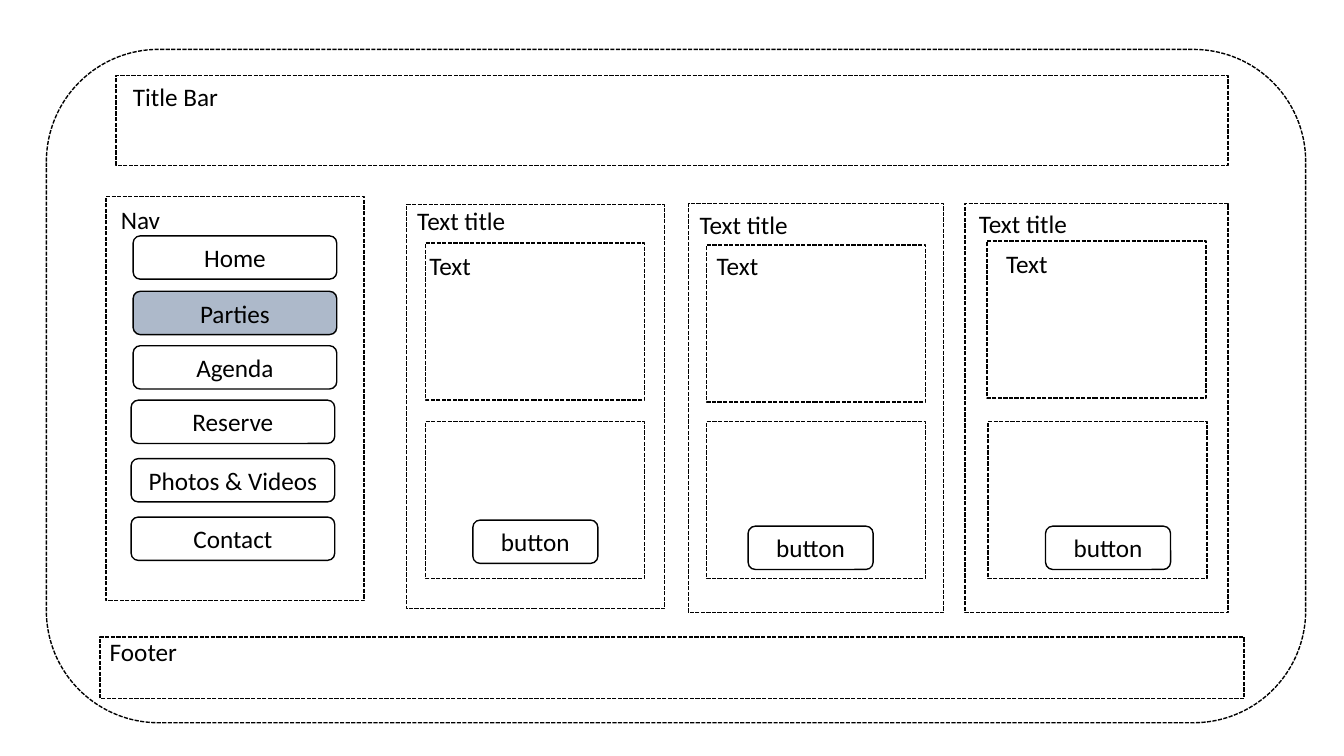
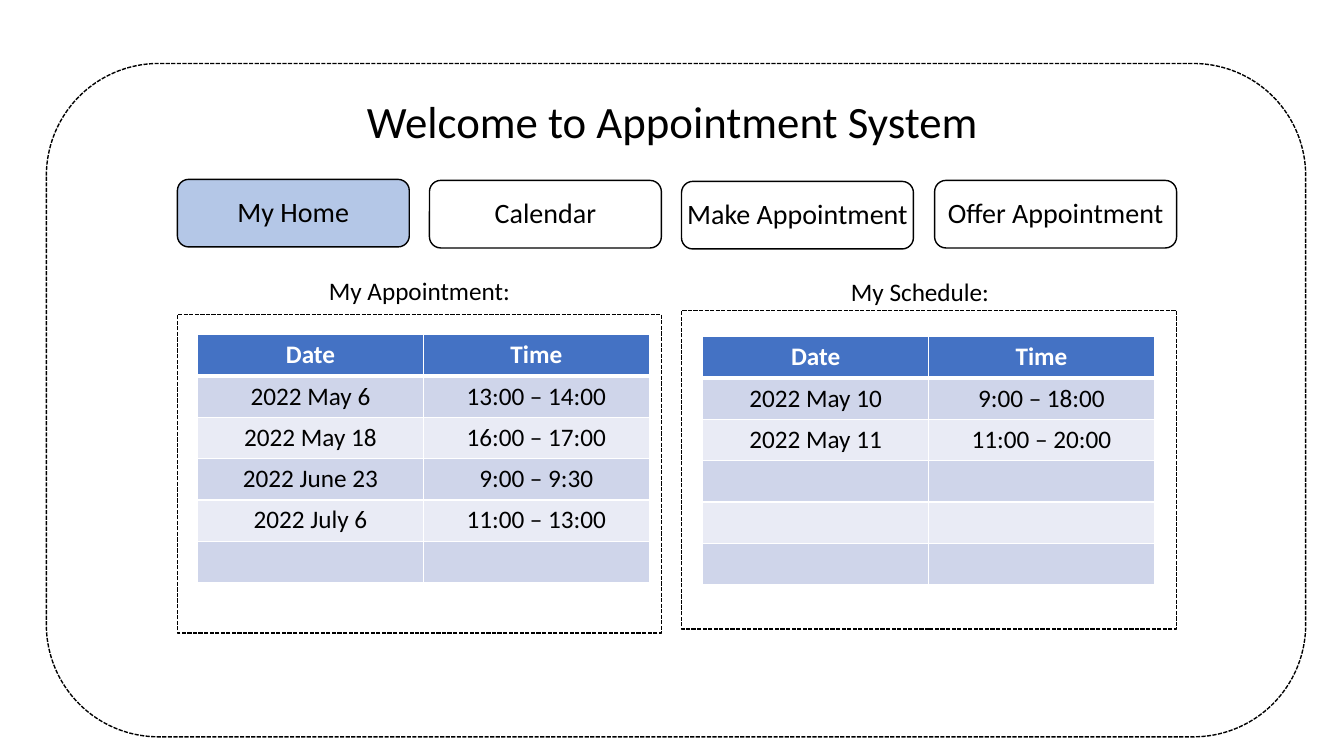
from lxml.etree import SubElement
from pptx import Presentation
from pptx.dml.color import RGBColor
from pptx.enum.dml import MSO_LINE
from pptx.enum.shapes import MSO_SHAPE as Preset
from pptx.enum.text import MSO_ANCHOR as Anchor, MSO_AUTO_SIZE as AutoSize, PP_ALIGN as Align
from pptx.oxml.ns import qn
from pptx.util import Inches, Pt

FONT = "Calibri"
COLORS = {
    "ink": "000000",
    "paper": "FFFFFF",
    "active_nav": "ADB9CA",
    "active_tab": "B4C7E7",
    "header": "4472C4",
    "odd_row": "CFD5EA",
    "even_row": "E9EBF5",
}
TITLE_ONLY, BLANK = 5, 6
LABEL_HEIGHT = 0.4

NAV_ITEMS = [
    ("Home", 1.32, 2.34),
    ("Parties", 1.32, 2.89),
    ("Agenda", 1.32, 3.43),
    ("Reserve", 1.3, 3.97),
    ("Photos & Videos", 1.3, 4.55),
    ("Contact", 1.3, 5.13),
]
CARDS = [
    {"panel": (4.03, 2.03, 2.56, 4.01), "title": (4.04, 1.99), "body": (4.22, 2.41),
     "text": (4.16, 2.43), "action": (4.22, 4.18), "button": (4.69, 5.16)},
    {"panel": (6.83, 2.02, 2.53, 4.06), "title": (6.84, 2.03), "body": (7.01, 2.43),
     "text": (7.01, 2.43), "action": (7.01, 4.18), "button": (7.42, 5.22)},
    {"panel": (9.57, 2.02, 2.61, 4.06), "title": (9.61, 2.02), "body": (9.79, 2.39),
     "text": (9.88, 2.41), "action": (9.8, 4.18), "button": (10.37, 5.22)},
]
TABS = [
    ("My Home", 1.76, 1.78, 2.3),
    ("Calendar", 4.26, 1.79, 2.3),
    ("Make Appointment", 6.76, 1.8, 2.3),
    ("Offer Appointment", 9.27, 1.79, 2.4),
]
APPOINTMENTS = [
    ("Date", "Time"),
    ("2022 May 6", "13:00 – 14:00"),
    ("2022 May 18", "16:00 – 17:00"),
    ("2022 June 23", "9:00 – 9:30"),
    ("2022 July 6", "11:00 – 13:00"),
    ("", ""),
]
SCHEDULE = [
    ("Date", "Time"),
    ("2022 May 10", "9:00 – 18:00"),
    ("2022 May 11", "11:00 – 20:00"),
    ("", ""),
    ("", ""),
    ("", ""),
]


def rgb(name):
    """Return the named colour."""
    return RGBColor.from_string(COLORS[name])


def write_text(frame, text, size=18, color="ink", bold=False, align=Align.LEFT):
    """Fill a text frame with one formatted paragraph."""
    para = frame.paragraphs[0]
    para.alignment = align
    span = para.add_run()
    span.text = text
    span.font.name = FONT
    span.font.size = Pt(size)
    span.font.bold = bold
    span.font.color.rgb = rgb(color)


def add_box(page, place, preset=Preset.RECTANGLE, fill="paper", dashed=True):
    """Add an outlined shape, dashed unless told otherwise."""
    box = page.shapes.add_shape(preset, *map(Inches, place))
    box.shadow.inherit = False
    if fill:
        box.fill.solid()
        box.fill.fore_color.rgb = rgb(fill)
    else:
        box.fill.background()
    box.line.color.rgb = rgb("ink")
    box.line.width = Pt(1)
    if dashed:
        box.line.dash_style = MSO_LINE.SQUARE_DOT
    return box


def add_frame(page, top):
    """Add the rounded window outline that both slides share."""
    add_box(page, (0.46, top, 12.49, 6.68), preset=Preset.ROUNDED_RECTANGLE, fill=None)


def add_button(page, text, place, fill="paper", size=18, side_inset=0.1, lift=0.0):
    """Add a rounded button with a centred caption, raised by lift."""
    box = add_box(page, place, preset=Preset.ROUNDED_RECTANGLE, fill=fill, dashed=False)
    frame = box.text_frame
    frame.word_wrap = True
    frame.vertical_anchor = Anchor.MIDDLE
    frame.margin_left = frame.margin_right = Inches(side_inset)
    frame.margin_bottom = Inches(0.05 + 2 * lift)
    write_text(frame, text, size=size, align=Align.CENTER)


def add_label(page, text, left, top, width=1.27, align=Align.LEFT):
    """Add a one-line text box."""
    box = page.shapes.add_textbox(*map(Inches, (left, top, width, LABEL_HEIGHT)))
    box.text_frame.word_wrap = True
    write_text(box.text_frame, text, align=align)


def set_title(page, text, place):
    """Move and format the title placeholder."""
    title = page.shapes.title
    title.left, title.top, title.width, title.height = map(Inches, place)
    frame = title.text_frame
    frame.word_wrap = True
    frame.auto_size = AutoSize.NONE
    frame.vertical_anchor = Anchor.TOP
    write_text(frame, text, size=32, align=Align.CENTER)


def set_borders(cell, bottom):
    """Draw white cell borders with the given bottom width in points."""
    properties = cell._tc.get_or_add_tcPr()
    widths = {"a:lnL": 1, "a:lnR": 1, "a:lnT": 1, "a:lnB": bottom}
    for position, (tag, width) in enumerate(widths.items()):
        line = SubElement(properties, qn(tag), w=str(Pt(width)))
        fill = SubElement(line, qn("a:solidFill"))
        SubElement(fill, qn("a:srgbClr"), val=COLORS["paper"])
        properties.insert(position, line)


def add_time_table(page, rows, left, top, column_width=2.24, row_height=0.41):
    """Add a banded table whose first row is the header."""
    size = (column_width * len(rows[0]), row_height * len(rows))
    place = map(Inches, (left, top, *size))
    table = page.shapes.add_table(len(rows), len(rows[0]), *place).table
    for row_index, row in enumerate(rows):
        header = row_index == 0
        band = "odd_row" if row_index % 2 else "even_row"
        for column_index, text in enumerate(row):
            cell = table.cell(row_index, column_index)
            cell.fill.solid()
            cell.fill.fore_color.rgb = rgb("header" if header else band)
            set_borders(cell, bottom=3 if header else 1)
            if text:
                write_text(cell.text_frame, text, color="paper" if header else "ink",
                           bold=header, align=Align.CENTER)


def add_card(page, card):
    """Add a content column with a title, a text area and a button area."""
    add_box(page, card["panel"])
    add_label(page, "Text title", *card["title"])
    for area in ("action", "body"):
        add_box(page, (*card[area], 2.17, 1.56))
    add_label(page, "Text", *card["text"])
    add_button(page, "button", (*card["button"], 1.24, 0.43))


def build_wireframe(deck):
    """Build the page layout sketch."""
    page = deck.slides.add_slide(deck.slide_layouts[BLANK])
    add_frame(page, top=0.49)
    add_box(page, (1.15, 0.75, 11.03, 0.89))
    add_label(page, "Title Bar", 1.22, 0.76)
    add_box(page, (1.05, 1.95, 2.56, 4.01))
    add_label(page, "Nav", 1.1, 1.98, width=0.86)
    for text, left, top in NAV_ITEMS:
        fill = "active_nav" if text == "Parties" else "paper"
        add_button(page, text, (left, top, 2.02, 0.43), fill=fill)
    for card in CARDS:
        add_card(page, card)
    add_box(page, (0.99, 6.32, 11.35, 0.61))
    add_label(page, "Footer", 0.99, 6.26)


def build_appointments(deck):
    """Build the home page of the appointment system."""
    page = deck.slides.add_slide(deck.slide_layouts[TITLE_ONLY])
    set_title(page, "Welcome to Appointment System", (0.87, 0.88, 11.6, 0.64))
    add_frame(page, top=0.63)
    for text, left, top, width in TABS:
        fill = "active_tab" if text == "My Home" else None
        add_button(page, text, (left, top, width, 0.67), fill=fill, size=20,
                   side_inset=0, lift=0.02)
    add_box(page, (1.76, 3.12, 4.8, 3.16))
    add_label(page, "My Appointment:", 1.76, 2.68, width=4.8, align=Align.CENTER)
    add_time_table(page, APPOINTMENTS, 1.96, 3.32)
    add_box(page, (6.76, 3.08, 4.91, 3.16))
    add_label(page, "My Schedule:", 6.57, 2.69, width=5.11, align=Align.CENTER)
    add_time_table(page, SCHEDULE, 6.97, 3.34)


def main():
    """Build and save the deck."""
    deck = Presentation()
    deck.slide_width, deck.slide_height = Inches(13.33), Inches(7.5)
    build_wireframe(deck)
    build_appointments(deck)
    deck.save("out.pptx")


main()
